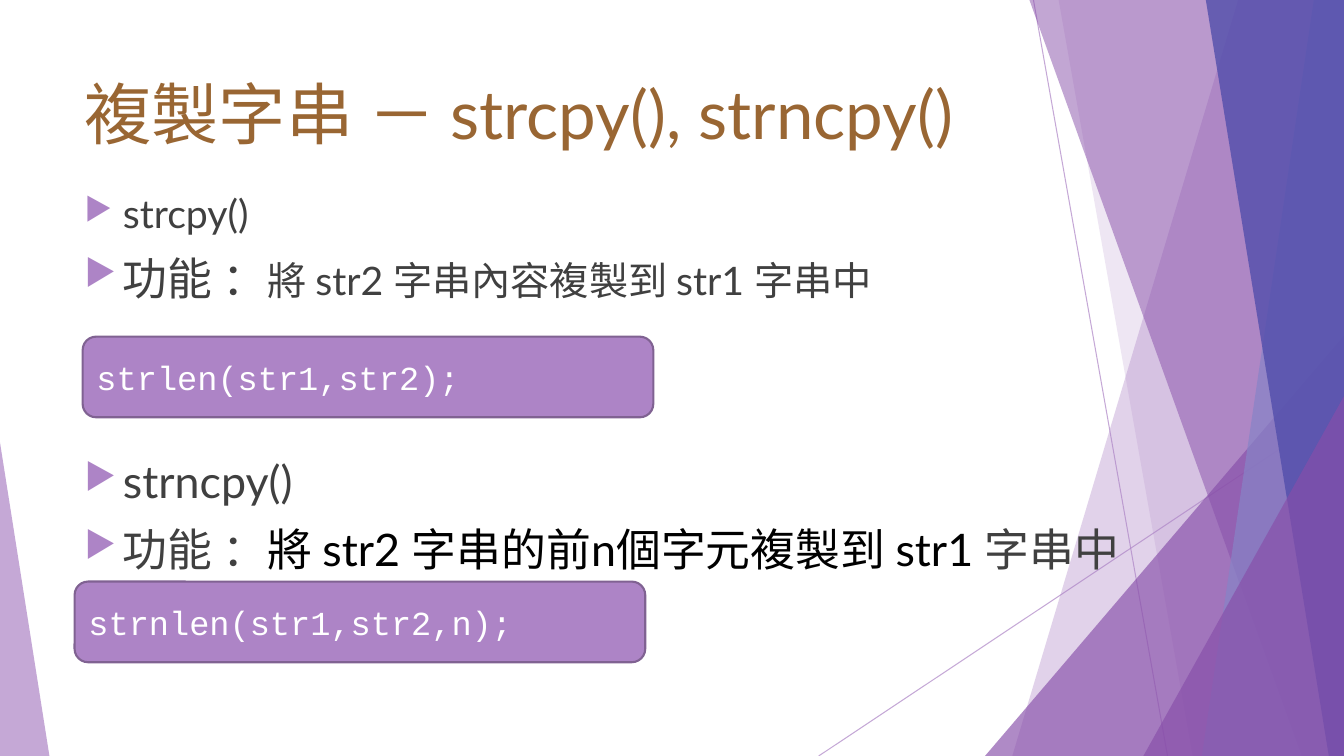
"""Build the slide on copying strings with strcpy() and strncpy()."""
from dataclasses import dataclass

from pptx import Presentation
from pptx.dml.color import RGBColor
from pptx.enum.shapes import MSO_CONNECTOR, MSO_SHAPE
from pptx.enum.text import MSO_ANCHOR, PP_ALIGN
from pptx.oxml.ns import qn
from pptx.util import Inches, Pt
from lxml.etree import SubElement

LILAC = RGBColor(0xAD, 0x84, 0xC6)
PURPLE = RGBColor(0x87, 0x4E, 0xA9)
PERIWINKLE = RGBColor(0x87, 0x84, 0xC7)
INDIGO = RGBColor(0x52, 0x4E, 0xAB)
PLUM = RGBColor(0x80, 0x62, 0x92)
BROWN = RGBColor(0x99, 0x66, 0x33)
GRAY = RGBColor(0x40, 0x40, 0x40)
BLACK = RGBColor(0, 0, 0)
WHITE = RGBColor(0xFF, 0xFF, 0xFF)
WIDTH, HEIGHT = 13.33, 7.5
BODY_FONT, CODE_FONT = "Lato", "Courier New"


@dataclass
class Ray:
    start: tuple[float, float]
    end: tuple[float, float]


@dataclass
class Panel:
    top: float
    bottom: float
    color: RGBColor
    alpha: int


@dataclass
class Wedge:
    left: float
    top: float
    width: float
    apex: float
    color: RGBColor
    alpha: int


@dataclass
class Run:
    text: str
    size: int
    color: RGBColor = GRAY
    font: str = BODY_FONT


@dataclass
class Bullet:
    runs: list[Run]
    before: int = 10


@dataclass
class CodeBox:
    left: float
    top: float
    code: str


RAYS = [Ray((10.25, 0), (11.58, HEIGHT)), Ray((WIDTH, 4.03), (8.12, HEIGHT))]
FACETS = [
    Panel(12.28, 10.04, LILAC, 36),
    Panel(10.5, 11.83, LILAC, 20),
    Wedge(9.77, 3.33, 3.56, 1, PURPLE, 66),
    Panel(10.21, 12.91, PURPLE, 50),
    Panel(13.03, 11.92, PERIWINKLE, 70),
    Panel(11.96, 13.18, INDIGO, 80),
    Wedge(11.34, 3.93, 1.99, 1, PURPLE, 66),
    Wedge(0, 4.39, 0.49, 0, LILAC, 70),
]
TITLE = Run("複製字串 － strcpy(), strncpy()", 48, BROWN)
BULLETS = [
    Bullet([Run("strcpy()", 28)]),
    Bullet([Run("功能 ：", 32), Run("將 str2 字串內容複製到 str1 字串中", 28)]),
    Bullet([Run("strncpy()", 32)], before=107),
    Bullet([Run("功能 ：", 32),
            Run("將 str2 字串的前n個字元複製到 str1 ", 32, BLACK),
            Run("字串中", 32)]),
]
CODE_BOXES = [
    CodeBox(0.82, 3.34, "strlen(str1,str2);"),
    CodeBox(0.74, 5.77, "strnlen(str1,str2,n);"),
]


def set_alpha(sp, alpha: int) -> None:
    """Give the first solid colour of a shape its opacity in percent."""
    clr = next(sp._element.spPr.iter(qn("a:srgbClr")))
    SubElement(clr, qn("a:alpha"), val=str(alpha * 1000))


def draw_ray(s, ray: Ray) -> None:
    """Draw one thin translucent line."""
    ends = [Inches(v) for v in (*ray.start, *ray.end)]
    cx = s.shapes.add_connector(MSO_CONNECTOR.STRAIGHT, *ends)
    cx.line.color.rgb = LILAC
    cx.line.width = Pt(0.75)
    set_alpha(cx, 70)
    SubElement(cx._element.spPr, qn("a:effectLst"))


def draw_facet(s, facet: Panel | Wedge) -> None:
    """Draw one translucent panel or triangle of the backdrop."""
    if isinstance(facet, Panel):
        corners = [(facet.top, 0), (WIDTH, 0), (WIDTH, HEIGHT), (facet.bottom, HEIGHT)]
        points = [(Inches(x), Inches(y)) for x, y in corners]
        fb = s.shapes.build_freeform(*points[0])
        fb.add_line_segments(points[1:])
        sp = fb.convert_to_shape()
    else:
        box = (facet.left, facet.top, facet.width, HEIGHT - facet.top)
        sp = s.shapes.add_shape(MSO_SHAPE.ISOSCELES_TRIANGLE, *map(Inches, box))
        sp.adjustments[0] = facet.apex
    sp.shadow.inherit = False
    sp.fill.solid()
    sp.fill.fore_color.rgb = facet.color
    sp.line.fill.background()
    set_alpha(sp, facet.alpha)


def add_run(p, run: Run) -> None:
    """Append a formatted run to a paragraph."""
    r = p.add_run()
    r.text = run.text
    for name, value in {"name": run.font, "size": Pt(run.size)}.items():
        setattr(r.font, name, value)
    r.font.color.rgb = run.color


def add_text(s, left: float, top: float, width: float, height: float):
    """Add a wrapping text box and return its text frame."""
    tf = s.shapes.add_textbox(*map(Inches, (left, top, width, height))).text_frame
    for name, value in {"word_wrap": True, "vertical_anchor": MSO_ANCHOR.TOP}.items():
        setattr(tf, name, value)
    return tf


def fill_bullet(p, bullet: Bullet) -> None:
    """Write one bulleted paragraph."""
    p.space_before = Pt(bullet.before)
    pPr = p._p.get_or_add_pPr()
    pPr.set("marL", str(Inches(0.38)))
    pPr.set("indent", str(Inches(-0.38)))
    SubElement(SubElement(pPr, qn("a:buClr")), qn("a:srgbClr"), val=str(LILAC))
    SubElement(pPr, qn("a:buSzPct"), val="80000")
    SubElement(pPr, qn("a:buChar"), char="▶")
    for run in bullet.runs:
        add_run(p, run)


def draw_code(s, box: CodeBox) -> None:
    """Draw one rounded box holding a line of code."""
    frame = map(Inches, (box.left, box.top, 5.66, 0.8))
    sp = s.shapes.add_shape(MSO_SHAPE.ROUNDED_RECTANGLE, *frame)
    sp.shadow.inherit = False
    sp.fill.solid()
    sp.fill.fore_color.rgb = LILAC
    sp.line.color.rgb = PLUM
    sp.line.width = Pt(1.5)
    tf = sp.text_frame
    tf.vertical_anchor = MSO_ANCHOR.MIDDLE
    p = tf.paragraphs[0]
    p.alignment = PP_ALIGN.LEFT
    add_run(p, Run(box.code, 24, WHITE, CODE_FONT))


def main() -> None:
    """Assemble and save the slide."""
    prs = Presentation()
    prs.slide_width, prs.slide_height = Inches(WIDTH), Inches(HEIGHT)
    s = prs.slides.add_slide(prs.slide_layouts[6])
    for ray in RAYS:
        draw_ray(s, ray)
    for facet in FACETS:
        draw_facet(s, facet)
    add_run(add_text(s, 0.74, 0.67, 10, 0.83).paragraphs[0], TITLE)
    tf = add_text(s, 0.74, 1.83, 12.35, 5.5)
    for i, bullet in enumerate(BULLETS):
        fill_bullet(tf.add_paragraph() if i else tf.paragraphs[0], bullet)
    for box in CODE_BOXES:
        draw_code(s, box)
    prs.save("out.pptx")


if __name__ == "__main__":
    main()
